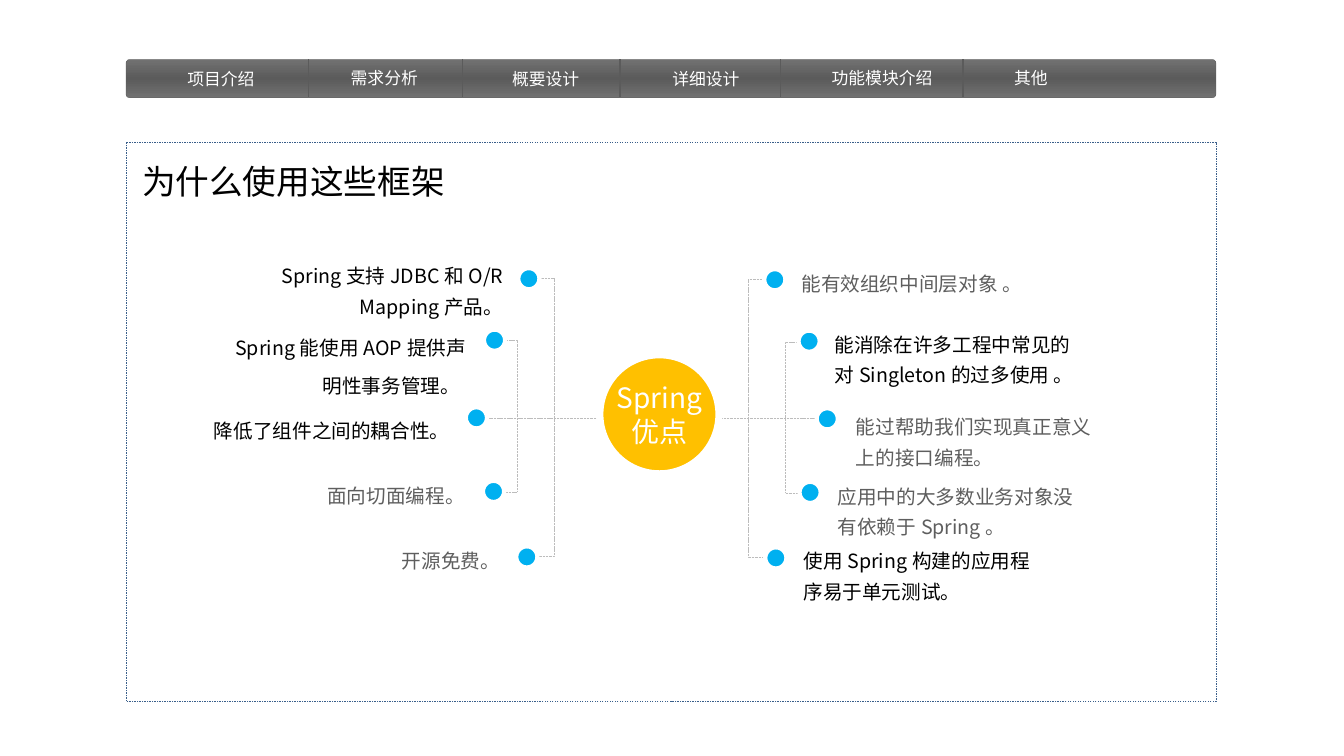
from copy import deepcopy
from lxml.etree import SubElement
from pptx import Presentation
from pptx.dml.color import RGBColor
from pptx.enum.dml import MSO_LINE
from pptx.enum.shapes import MSO_CONNECTOR, MSO_SHAPE
from pptx.enum.text import MSO_ANCHOR, MSO_AUTO_SIZE, PP_ALIGN
from pptx.oxml.ns import qn
from pptx.util import Inches, Pt

WHITE = RGBColor(0xFF, 0xFF, 0xFF)
BLACK = RGBColor(0, 0, 0)
GRAY = RGBColor(0x5E, 0x5E, 0x5E)
DARK = RGBColor(0x5B, 0x5B, 0x5B)
STEEL = RGBColor(0x71, 0x71, 0x71)
PALE = RGBColor(0xBC, 0xBC, 0xBC)
NAVY = RGBColor(0x39, 0x5E, 0x8A)
GOLD = RGBColor(0xFF, 0xC0, 0x00)
BLUE = RGBColor(0x00, 0xB0, 0xF0)
NOTO = "Noto Sans CJK SC"

deck = Presentation()
deck.slide_width, deck.slide_height = Inches(13.33), Inches(7.5)
slide = deck.slides.add_slide(deck.slide_layouts[5])
shapes = slide.shapes


def draw(kind, box, fill, line, width):
    shape = shapes.add_shape(kind, *map(Inches, box))
    shape.shadow.inherit = False
    shape.fill.solid()
    shape.fill.fore_color.rgb = fill
    shape.line.color.rgb = line
    shape.line.width = Pt(width)
    return shape


def write(shape, text, size, face, color, align=PP_ALIGN.LEFT, wrap=True):
    frame = shape.text_frame
    frame.word_wrap = wrap
    frame.auto_size = MSO_AUTO_SIZE.NONE
    frame.text = text
    for para in frame.paragraphs:
        para.alignment = align
        para.font.size = Pt(size)
        para.font.name = face
        para.font.color.rgb = color
    return frame.paragraphs[0]


bar = draw(MSO_SHAPE.ROUNDED_RECTANGLE, (1.25, 0.59, 10.81, 0.38), DARK, DARK, 0.25)
bar.adjustments[0] = 0.094
bar.fill.gradient()
bar.fill.gradient_angle = 90
ramp = bar.element.xpath(".//a:gsLst")[0]
ramp.append(deepcopy(ramp[0]))
for stop, color, place in zip(bar.fill.gradient_stops, (STEEL, DARK, STEEL), (0, 0.5, 1)):
    stop.color.rgb = color
    stop.position = place

frame = draw(MSO_SHAPE.RECTANGLE, (1.25, 1.41, 10.81, 5.55), WHITE, NAVY, 0.25)
frame.line.dash_style = MSO_LINE.DASH

title = shapes.title
title.left, title.top, title.width, title.height = map(Inches, (1.31, 1.55, 3.28, 0.5))
write(title, "为什么使用这些框架", 24, "Calibri", BLACK)
title.text_frame.vertical_anchor = MSO_ANCHOR.TOP
frame.element.addnext(title.element)

rules = [(x, 0.96, x, 0.59, DARK, 1) for x in (3.06, 4.59, 6.15, 7.74, 9.55)]
rules.append((4.77, 4.15, 8.16, 4.15, PALE, 0.25))
for *ends, color, width in rules:
    rule = shapes.add_connector(MSO_CONNECTOR.STRAIGHT, *map(Inches, ends))
    rule.line.color.rgb = color
    rule.line.width = Pt(width)
    if color == PALE:
        rule.line.dash_style = MSO_LINE.SQUARE_DOT
    SubElement(rule.element.spPr, qn("a:effectLst"))

tabs = [
    (1.76, 0.63, "项目介绍"),
    (3.38, 0.62, "需求分析"),
    (4.98, 0.63, "概要设计"),
    (6.57, 0.63, "详细设计"),
    (8.15, 0.62, "功能模块介绍"),
    (9.96, 0.62, "其他"),
]
for x, y, text in tabs:
    tab = shapes.add_textbox(Inches(x), Inches(y), Inches(1.32), Inches(0.3))
    write(tab, text, 12, "Calibri", WHITE)

hub = draw(MSO_SHAPE.OVAL, (5.95, 3.52, 1.18, 1.18), GOLD, WHITE, 5)
write(hub, "Spring\n优点", 20, NOTO, WHITE, PP_ALIGN.CENTER, False)
hub.text_frame.vertical_anchor = MSO_ANCHOR.MIDDLE

forks = [
    (5.29, 5.5, 2.76, 5.52),
    (4.96, 5.13, 3.38, 4.88),
    (7.63, 7.42, 2.77, 5.53),
    (7.96, 7.79, 3.39, 4.89),
]
for tip, spine, top, low in forks:
    pen = shapes.build_freeform(Inches(tip), Inches(top))
    turns = ((spine, top), (spine, low), (tip, low))
    pen.add_line_segments([(Inches(x), Inches(y)) for x, y in turns], close=False)
    fork = pen.convert_to_shape()
    fork.shadow.inherit = False
    fork.fill.background()
    fork.line.color.rgb = PALE
    fork.line.width = Pt(0.25)
    fork.line.dash_style = MSO_LINE.SQUARE_DOT

left = [
    (5.14, 2.66, (2.02, 2.5, 3.07, 0.7), "Spring支持JDBC和O/R Mapping产品。", NOTO, BLACK, ""),
    (4.8, 3.27, (2.17, 3.21, 2.55, 0.79), "Spring能使用AOP提供声明性事务管理。", NOTO, BLACK, " "),
    (4.62, 4.04, (2.01, 3.96, 2.55, 0.49), "降低了组件之间的耦合性。", "Arial", BLACK, " "),
    (4.79, 4.77, (2.16, 4.68, 2.55, 0.4), "面向切面编程。", NOTO, GRAY, ""),
    (5.12, 5.42, (2.51, 5.33, 2.55, 0.4), "开源免费。", NOTO, GRAY, ""),
]
right = [
    (7.58, 2.67, (7.85, 2.58, 3.22, 0.4), "能有效组织中间层对象 。", NOTO, GRAY, ""),
    (7.92, 3.28, (8.18, 3.18, 2.55, 0.7), "能消除在许多工程中常见的对Singleton的过多使用 。", NOTO, BLACK, ""),
    (8.1, 4.05, (8.39, 4, 2.55, 0.7), "能过帮助我们实现真正意义上的接口编程。", NOTO, GRAY, ""),
    (7.93, 4.78, (8.21, 4.69, 2.55, 0.7), "应用中的大多数业务对象没有依赖于Spring。", NOTO, GRAY, ""),
    (7.59, 5.43, (7.87, 5.33, 2.55, 0.7), "使用Spring构建的应用程序易于单元测试。", NOTO, BLACK, ""),
]
for side, align in ((left, PP_ALIGN.RIGHT), (right, PP_ALIGN.LEFT)):
    for x, y, box, text, face, color, tail in side:
        draw(MSO_SHAPE.OVAL, (x, y, 0.21, 0.21), BLUE, WHITE, 3)
        note = shapes.add_textbox(*map(Inches, box))
        para = write(note, text, 14, face, color, align)
        para.line_spacing = 1.3
        if tail:
            run = para.add_run()
            run.text = tail
            run.font.size = Pt(18)
            run.font.name = "Arial"

deck.save("out.pptx")
